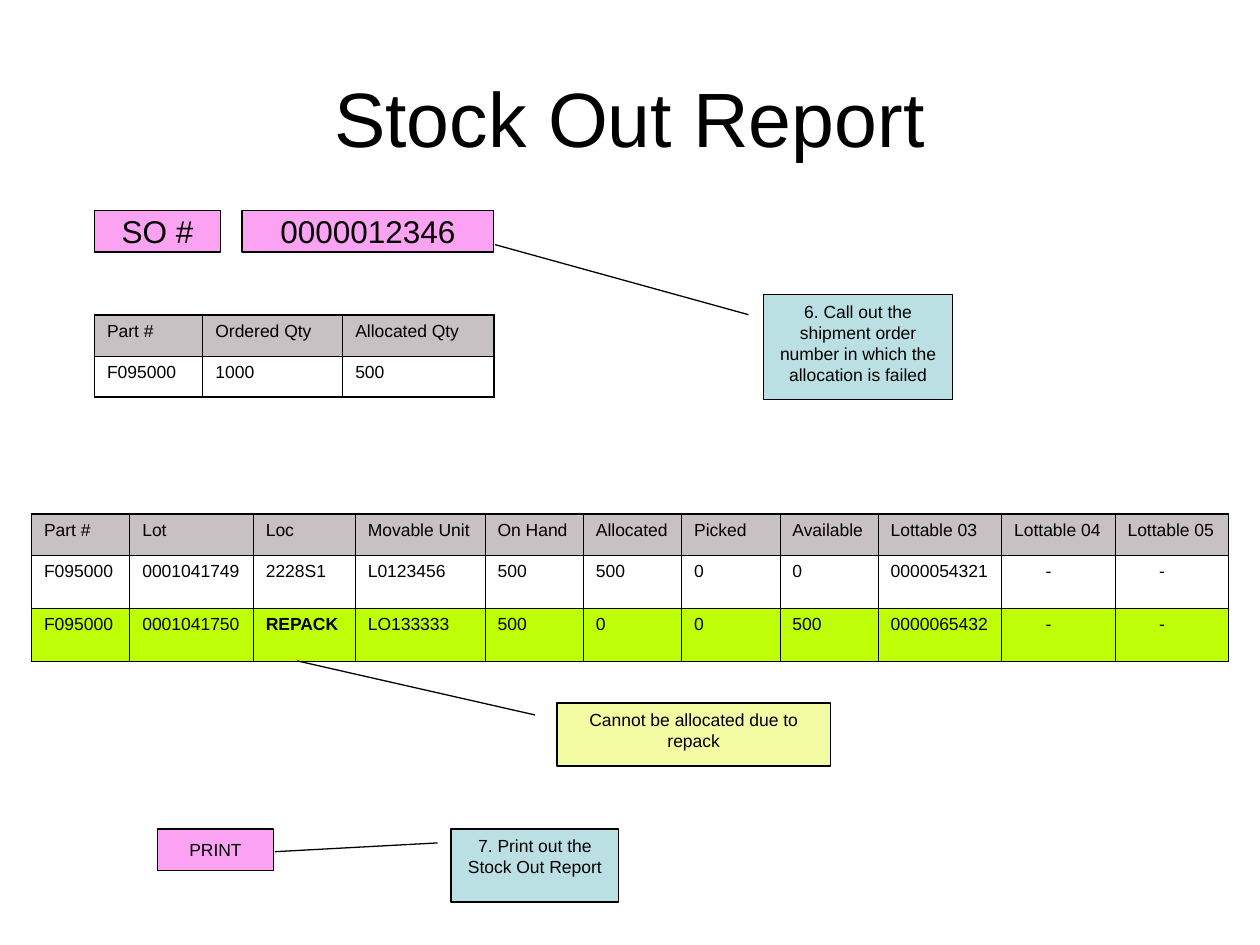
"""Build the Stock Out Report slide."""
from lxml import etree
from pptx import Presentation
from pptx.dml.color import RGBColor
from pptx.enum.shapes import MSO_SHAPE
from pptx.enum.text import MSO_ANCHOR, PP_ALIGN
from pptx.oxml.ns import qn
from pptx.util import Inches, Pt

RECT, CALL = MSO_SHAPE.RECTANGLE, MSO_SHAPE.LINE_CALLOUT_1
TOP, MID = MSO_ANCHOR.TOP, MSO_ANCHOR.MIDDLE
LEFT, CENTER = PP_ALIGN.LEFT, PP_ALIGN.CENTER
BLACK, WHITE, GRAY, LIME = "000000", "FFFFFF", "C7C1C3", "BEFF07"
PINK, BLUE, YELLOW = "FCA2F3", "BBE0E3", "F3FBA3"
THIN, THICK = 0.45, 1.08

TITLE = ("Stock Out Report", (0.5, 0.3, 9, 1.25), 44)
TABLES = [
    {"at": (0.75, 2.5), "cols": [0.86, 1.11, 1.2], "rows": [0.33, 0.32],
     "fills": [GRAY, WHITE],
     "data": [["Part #", "Ordered Qty", "Allocated Qty"],
              ["F095000", "1000", "500"]]},
    {"at": (0.25, 4.08), "rows": [0.33, 0.42, 0.42],
     "cols": [0.78, 0.98, 0.81, 1.03, 0.78, 0.78, 0.78, 0.78, 0.98, 0.9, 0.9],
     "fills": [GRAY, WHITE, LIME],
     "data": [["Part #", "Lot", "Loc", "Movable Unit", "On Hand", "Allocated",
               "Picked", "Available", "Lottable 03", "Lottable 04", "Lottable 05"],
              ["F095000", "0001041749", "2228S1", "L0123456", "500", "500",
               "0", "0", "0000054321", "-", "-"],
              ["F095000", "0001041750", "REPACK", "LO133333", "500", "0",
               "0", "500", "0000065432", "-", "-"]]},
]
BUTTONS = [
    ("SO #", (0.75, 1.67, 1, 0.33), 18),
    ("0000012346", (1.92, 1.67, 2, 0.33), 18),
    ("PRINT", (1.25, 6.58, 0.92, 0.33), 10),
]
NOTES = [
    ("6. Call out the shipment order number in which the allocation is failed",
     (6.06, 2.34, 1.5, 0.83), BLUE, (-0.48, -1.42)),
    ("Cannot be allocated due to repack",
     (4.42, 5.58, 2.17, 0.5), YELLOW, (-0.67, -0.95)),
    ("7. Print out the Stock Out Report",
     (3.58, 6.58, 1.33, 0.58), BLUE, (0.31, -1.05)),
]


def color(code):
    """Turn a hex string into a colour."""
    return RGBColor.from_string(code)


def write(frame, text, size, align, bold=False):
    """Put one styled paragraph into a text frame."""
    para = frame.paragraphs[0]
    para.text = text
    para.alignment = align
    for name, value in {"name": "Arial", "size": Pt(size), "bold": bold}.items():
        setattr(para.font, name, value)
    para.font.color.rgb = color(BLACK)


def add_box(slide, kind, text, at, fill, size, anchor, wrap):
    """Add a filled, outlined shape with centred text."""
    box = slide.shapes.add_shape(kind, *map(Inches, at))
    box.shadow.inherit = False
    box.fill.solid()
    box.fill.fore_color.rgb = color(fill)
    box.line.color.rgb = color(BLACK)
    box.line.width = Pt(0.75)
    frame = box.text_frame
    for name, value in {"word_wrap": wrap, "vertical_anchor": anchor}.items():
        setattr(frame, name, value)
    write(frame, text, size, CENTER)
    return box


def add_edges(cell, edges):
    """Draw the four borders of a cell."""
    props = cell._tc.get_or_add_tcPr()
    for side, width in edges.items():
        line = etree.SubElement(props, qn("a:ln" + side), w=str(int(Pt(width))))
        fill = etree.SubElement(line, qn("a:solidFill"))
        etree.SubElement(fill, qn("a:srgbClr"), val=BLACK)


def add_grid(slide, at, cols, rows, fills, data):
    """Add a table with thin inner and thick outer borders."""
    size = sum(cols), sum(rows)
    table = slide.shapes.add_table(
        len(rows), len(cols), *map(Inches, at + size)).table
    table.first_row = table.horz_banding = False
    for col, width in zip(table.columns, cols):
        col.width = Inches(width)
    for r, (row, height) in enumerate(zip(table.rows, rows)):
        row.height = Inches(height)
        for c, text in enumerate(data[r]):
            cell = table.cell(r, c)
            outer = {"L": c == 0, "R": c == len(cols) - 1,
                     "T": r == 0, "B": r == len(rows) - 1}
            add_edges(cell, {s: THICK if o else THIN for s, o in outer.items()})
            cell.fill.solid()
            cell.fill.fore_color.rgb = color(fills[r])
            cell.margin_left = Inches(0.35 if text == "-" else 0.1)
            write(cell.text_frame, text, 10, LEFT, text == "REPACK")


def main():
    """Place every part and save the deck."""
    deck = Presentation()
    deck.slide_width, deck.slide_height = Inches(10), Inches(7.5)
    slide = deck.slides.add_slide(deck.slide_layouts[6])
    text, at, size = TITLE
    frame = slide.shapes.add_textbox(*map(Inches, at)).text_frame
    frame.word_wrap = True
    frame.vertical_anchor = MID
    write(frame, text, size, CENTER)
    for grid in TABLES:
        add_grid(slide, **grid)
    for text, at, size in BUTTONS:
        add_box(slide, RECT, text, at, PINK, size, MID, False)
    for text, at, fill, tip in NOTES:
        note = add_box(slide, CALL, text, at, fill, 10, TOP, True)
        for i, value in enumerate((0.19, -0.08) + tip):
            note.adjustments[i] = value
    deck.save("out.pptx")


if __name__ == "__main__":
    main()
